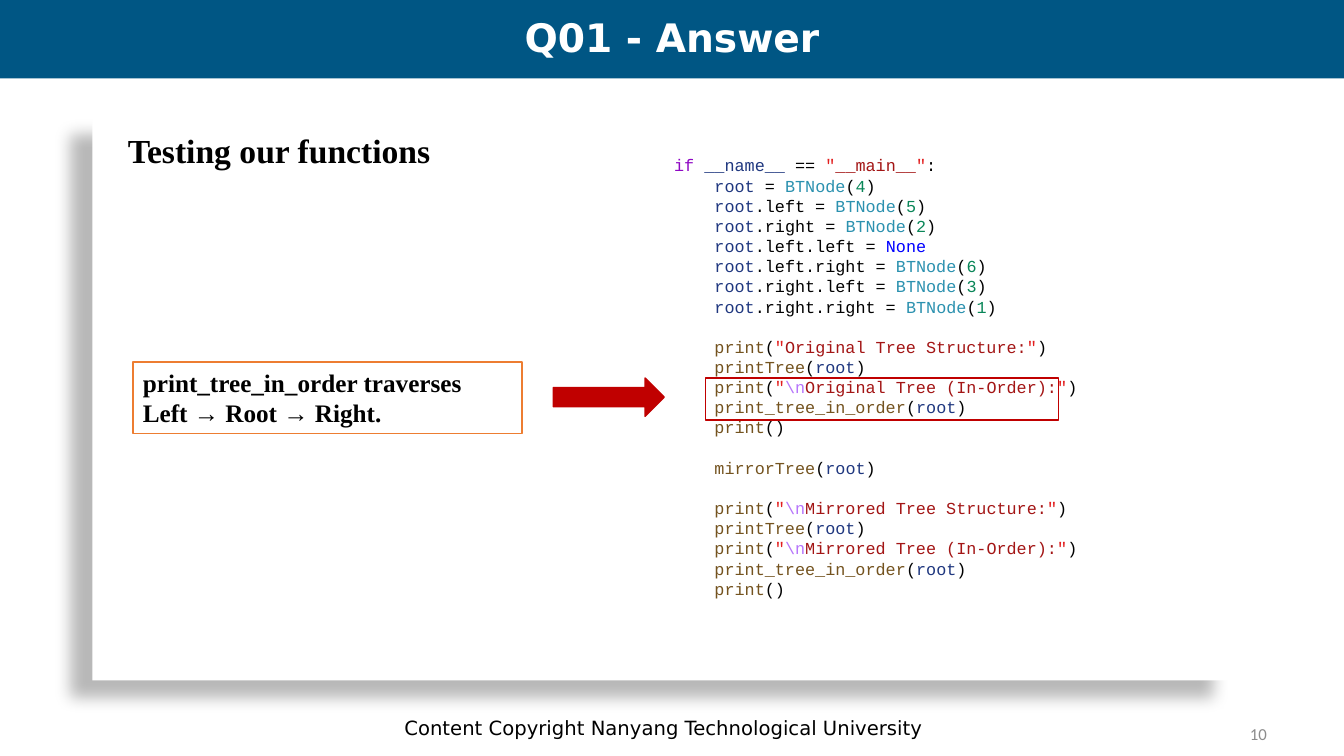
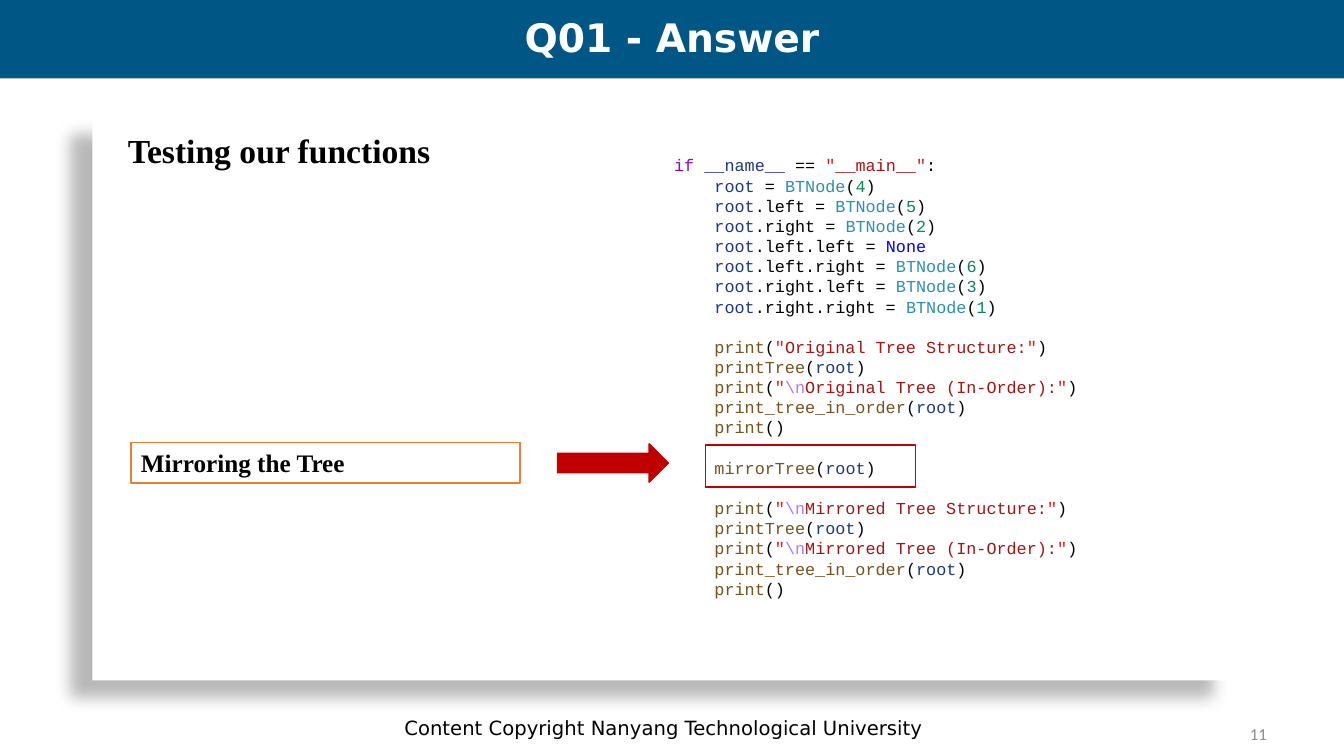
from lxml.etree import SubElement
from pptx import Presentation
from pptx.dml.color import RGBColor
from pptx.enum.shapes import MSO_SHAPE
from pptx.enum.text import MSO_ANCHOR, MSO_AUTO_SIZE, PP_ALIGN
from pptx.oxml.ns import qn
from pptx.util import Pt

COLORS = {
    "white": "FFFFFF",
    "band": "005684",
    "page": "8C8C8C",
    "callout": "ED7D31",
    "marker": "C00000",
    "plain": "000000",
    "keyword": "8F08C4",
    "variable": "1F377F",
    "quote": "E21F1F",
    "string": "A31515",
    "class": "2B91AF",
    "number": "098658",
    "constant": "0000FF",
    "function": "74531F",
    "escape": "B776FB",
}
SANS, SERIF, MONO, NUMERAL = "DejaVu Sans", "Times New Roman", "Courier New", "Calibri"
SLIDE_WIDTH, SLIDE_HEIGHT = 960, 540
CODE_LINE = 14.4
INDENT = ("    ", "plain")

TITLE_BOX = (0, 3, SLIDE_WIDTH, 51)
HEADING_BOX = (84.2, 89.3, 267, 36)
CODE_BOX = (474.5, 107.3, 357, 327)
PAGE_BOX = (688, 510, 224, 28.8)

ANSWERS = [
    {
        "page": "10",
        "callout": "print_tree_in_order traverses Left → Root → Right.",
        "callout_box": (95, 258.5, 277.8, 51),
        "arrow_box": (395.3, 270, 79.2, 27.4),
        "marker_box": (504, 270, 252, 30),
    },
    {
        "page": "11",
        "callout": "Mirroring the Tree",
        "callout_box": (93.6, 316, 277.8, 29),
        "arrow_box": (398.2, 317, 79.2, 27.4),
        "marker_box": (504, 318, 150, 30),
    },
]


def color(name):
    return RGBColor.from_string(COLORS[name])


def points(box):
    return [Pt(length) for length in box]


def assign(target, value):
    return [INDENT, ("root", "variable"), (f"{target} = ", "plain"),
            ("BTNode", "class"), ("(", "plain"), (value, "number"), (")", "plain")]


def call(function):
    return [INDENT, (function, "function"), ("(", "plain"),
            ("root", "variable"), (")", "plain")]


def say(text, escape=""):
    escaped = [(escape, "escape")] if escape else []
    return [INDENT, ("print", "function"), ("(", "plain"), ('"', "quote"), *escaped,
            (text, "string"), ('"', "quote"), (")", "plain")]


def say_nothing():
    return [INDENT, ("print", "function"), ("()", "plain")]


CODE_BLOCKS = [
    [
        [("if ", "keyword"), ("__name__", "variable"), (" == ", "plain"),
         ('"', "quote"), ("__main__", "string"), ('"', "quote"), (":", "plain")],
        assign("", "4"),
        assign(".left", "5"),
        assign(".right", "2"),
        [INDENT, ("root", "variable"), (".left.left = ", "plain"), ("None", "constant")],
        assign(".left.right", "6"),
        assign(".right.left", "3"),
        assign(".right.right", "1"),
    ],
    [
        say("Original Tree Structure:"),
        call("printTree"),
        say("Original Tree (In-Order):", r"\n"),
        call("print_tree_in_order"),
        say_nothing(),
    ],
    [call("mirrorTree")],
    [
        say("Mirrored Tree Structure:", r"\n"),
        call("printTree"),
        say("Mirrored Tree (In-Order):", r"\n"),
        call("print_tree_in_order"),
        say_nothing(),
    ],
]


def add_run(paragraph, text, font, size, ink, bold=False):
    run = paragraph.add_run()
    run.text = text
    run.font.name = font
    run.font.size = Pt(size)
    run.font.bold = bold
    run.font.color.rgb = color(ink)


def add_label(slide, box, text, font, size, ink, align=PP_ALIGN.LEFT,
              anchor=MSO_ANCHOR.TOP, bold=False):
    label = slide.shapes.add_textbox(*points(box))
    frame = label.text_frame
    frame.word_wrap = True
    frame.vertical_anchor = anchor
    frame.paragraphs[0].alignment = align
    add_run(frame.paragraphs[0], text, font, size, ink, bold)
    return label


def add_figure(slide, preset, box, fill=None, line=None):
    figure = slide.shapes.add_shape(preset, *points(box))
    figure.shadow.inherit = False
    if fill:
        figure.fill.solid()
        figure.fill.fore_color.rgb = color(fill)
    else:
        figure.fill.background()
    if line:
        figure.line.color.rgb = color(line)
        figure.line.width = Pt(1)
    else:
        figure.line.fill.background()
    return figure


def cast_shadow(figure):
    effects = figure.element.spPr.find(qn("a:effectLst"))
    shadow = SubElement(effects, qn("a:outerShdw"), blurRad=str(Pt(11.8)),
                        dist=str(Pt(19.7)), dir=str(141 * 60000),
                        algn="tr", rotWithShape="0")
    tint = SubElement(shadow, qn("a:srgbClr"), val=COLORS["plain"])
    SubElement(tint, qn("a:alpha"), val="28000")


def furnish_layout(layout, slide):
    card = add_figure(slide, MSO_SHAPE.RECTANGLE, (66, 84, 816, 402), "white")
    cast_shadow(card)
    band = add_figure(slide, MSO_SHAPE.RECTANGLE, (0, 0, SLIDE_WIDTH, 56), "band")
    copyright_line = add_label(
        slide, (129, 505.5, 690, 28.8), "Content Copyright Nanyang Technological University",
        SANS, 14, "plain", PP_ALIGN.CENTER, MSO_ANCHOR.MIDDLE)
    for position, part in enumerate((card, band, copyright_line), start=2):
        layout.shapes.element.insert(position, part.element)


def place_title(slide, box, text):
    title = slide.shapes.title
    title.left, title.top, title.width, title.height = points(box)
    frame = title.text_frame
    frame.auto_size = MSO_AUTO_SIZE.NONE
    frame.vertical_anchor = MSO_ANCHOR.MIDDLE
    paragraph = frame.paragraphs[0]
    paragraph.alignment = PP_ALIGN.CENTER
    paragraph.line_spacing = 0.9
    add_run(paragraph, text, SANS, 28, "white", True)


def place_code(slide, box):
    frame = slide.shapes.add_textbox(*points(box)).text_frame
    frame.word_wrap = True
    paragraph = frame.paragraphs[0]
    for block_index, block in enumerate(CODE_BLOCKS):
        for line_index, tokens in enumerate(block):
            if block_index or line_index:
                paragraph = frame.add_paragraph()
            if block_index and not line_index:
                paragraph.space_before = Pt(CODE_LINE)
            paragraph.line_spacing = Pt(CODE_LINE)
            for text, ink in tokens:
                add_run(paragraph, text, MONO, 12, ink)


def place_callout(slide, box, text):
    callout = add_figure(slide, MSO_SHAPE.RECTANGLE, box, line="callout")
    frame = callout.text_frame
    frame.word_wrap = True
    frame.vertical_anchor = MSO_ANCHOR.MIDDLE
    frame.paragraphs[0].alignment = PP_ALIGN.LEFT
    add_run(frame.paragraphs[0], text, SERIF, 18, "plain", True)


def build_answer(slide, answer):
    place_code(slide, CODE_BOX)
    place_title(slide, TITLE_BOX, "Q01 - Answer")
    add_label(slide, HEADING_BOX, "Testing our functions", SERIF, 24, "plain", bold=True)
    place_callout(slide, answer["callout_box"], answer["callout"])
    add_figure(slide, MSO_SHAPE.RIGHT_ARROW, answer["arrow_box"], "marker", "marker")
    add_figure(slide, MSO_SHAPE.RECTANGLE, answer["marker_box"], line="marker")
    add_label(slide, PAGE_BOX, answer["page"], NUMERAL, 12, "page",
              PP_ALIGN.RIGHT, MSO_ANCHOR.MIDDLE)


def main():
    deck = Presentation()
    deck.slide_width, deck.slide_height = Pt(SLIDE_WIDTH), Pt(SLIDE_HEIGHT)
    layout = deck.slide_layouts.get_by_name("Title Only")
    slides = [deck.slides.add_slide(layout) for answer in ANSWERS]
    furnish_layout(layout, slides[0])
    for slide, answer in zip(slides, ANSWERS):
        build_answer(slide, answer)
    deck.save("out.pptx")


if __name__ == "__main__":
    main()
